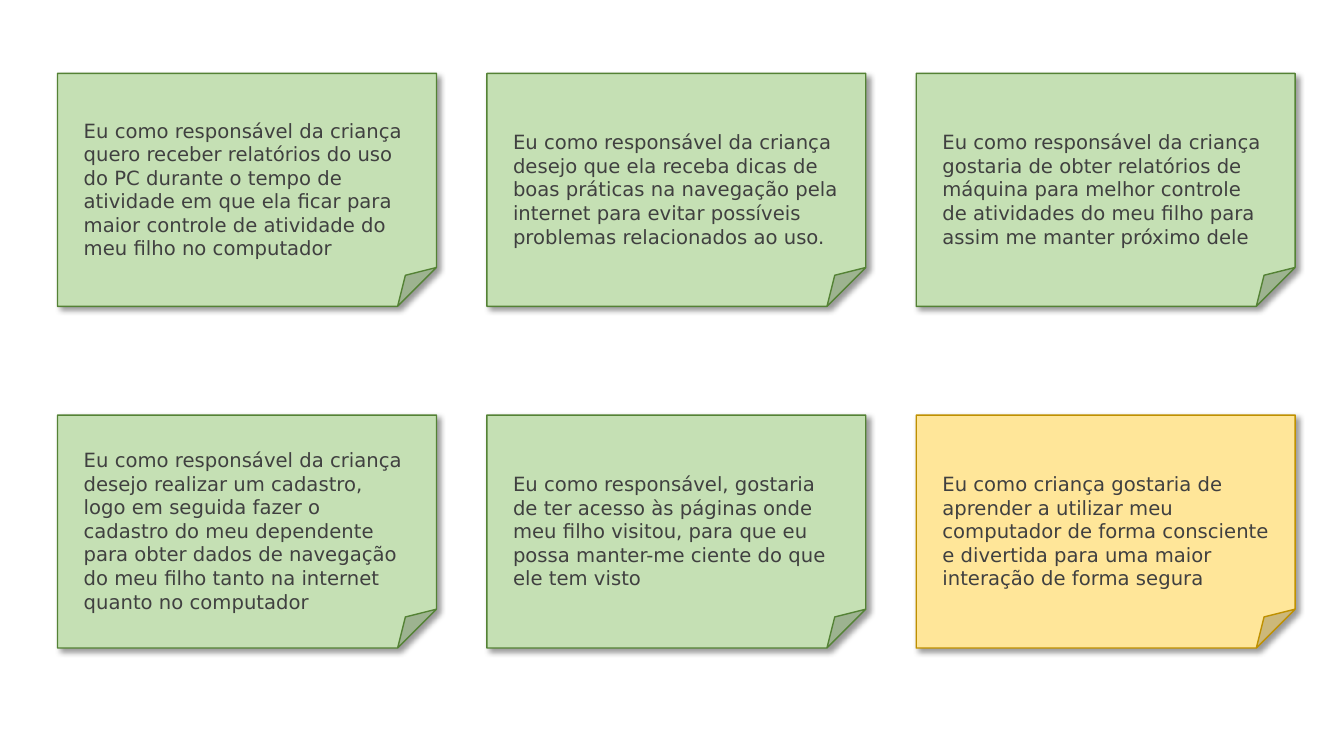
from lxml.etree import SubElement as Sub
from pptx import Presentation
from pptx.dml.color import RGBColor
from pptx.enum.shapes import MSO_SHAPE as Kind
from pptx.enum.text import MSO_ANCHOR as Anchor, MSO_AUTO_SIZE as Fit
from pptx.oxml.ns import qn
from pptx.util import Cm, Pt


def tint(code):
    return RGBColor.from_string(code)


def shade(card):
    """Cast a soft shadow to the lower right."""
    card.shadow.inherit = False
    spot = Sub(card._element.spPr.find(qn("a:effectLst")), qn("a:outerShdw"),
               blurRad=str(Pt(4)), dist=str(Pt(3)), dir=str(45 * 60000),
               algn="tl", rotWithShape="0")
    hue = Sub(spot, qn("a:srgbClr"), val="000000")
    Sub(hue, qn("a:alpha"), val="40000")


# Fill and line of each kind of note
green = ("C5E0B4", "548235")
gold = ("FFE699", "BF9000")

# Stories in reading order: colours, number of text lines, wording
notes = [
    (green, 6, "Eu como responsável da criança quero receber relatórios do uso "
               "do PC durante o tempo de atividade em que ela ficar para maior "
               "controle de atividade do meu filho no computador"),
    (green, 5, "Eu como responsável da criança desejo que ela receba dicas de "
               "boas práticas na navegação pela internet para evitar possíveis "
               "problemas relacionados ao uso."),
    (green, 5, "Eu como responsável da criança gostaria de obter relatórios de "
               "máquina para melhor controle de atividades do meu filho para "
               "assim me manter próximo dele"),
    (green, 7, "Eu como responsável da criança desejo realizar um cadastro, "
               "logo em seguida fazer o cadastro do meu dependente para obter "
               "dados de navegação do meu filho tanto na internet quanto no "
               "computador"),
    (green, 5, "Eu como responsável, gostaria de ter acesso às páginas onde meu "
               "filho visitou, para que eu possa manter-me ciente do que ele "
               "tem visto"),
    (gold, 5, "Eu como criança gostaria de aprender a utilizar meu computador "
              "de forma consciente e divertida para uma maior interação de "
              "forma segura"),
]

# Blank slide
deck = Presentation()
deck.slide_width, deck.slide_height = Cm(33.87), Cm(19.05)
slide = deck.slides.add_slide(deck.slide_layouts[6])

# Grid of three columns, in centimetres
wide, high = 9.55, 5.87
inset = 0.41

for i, ((fill, edge), lines, words) in enumerate(notes):
    row, col = divmod(i, 3)
    left, top = 1.45 + col * 10.82, 1.85 + row * 8.61

    # Note with a folded corner
    card = slide.shapes.add_shape(Kind.FOLDED_CORNER, Cm(left), Cm(top),
                                  Cm(wide), Cm(high))
    card.fill.solid()
    card.fill.fore_color.rgb = tint(fill)
    card.line.color.rgb = tint(edge)
    card.line.width = Pt(1)
    shade(card)

    # Story, centred on the height of the note
    tall = 0.25 + lines * 0.6
    box = slide.shapes.add_textbox(Cm(left + inset), Cm(top + (high - tall) / 2),
                                   Cm(wide - 2 * inset), Cm(tall))
    frame = box.text_frame
    frame.word_wrap = True
    frame.auto_size = Fit.SHAPE_TO_FIT_TEXT
    frame.vertical_anchor = Anchor.TOP
    run = frame.paragraphs[0].add_run()
    run.text = words
    run.font.name = "DejaVu Sans"
    run.font.size = Pt(14)
    run.font.color.rgb = tint("404040")

deck.save("out.pptx")
